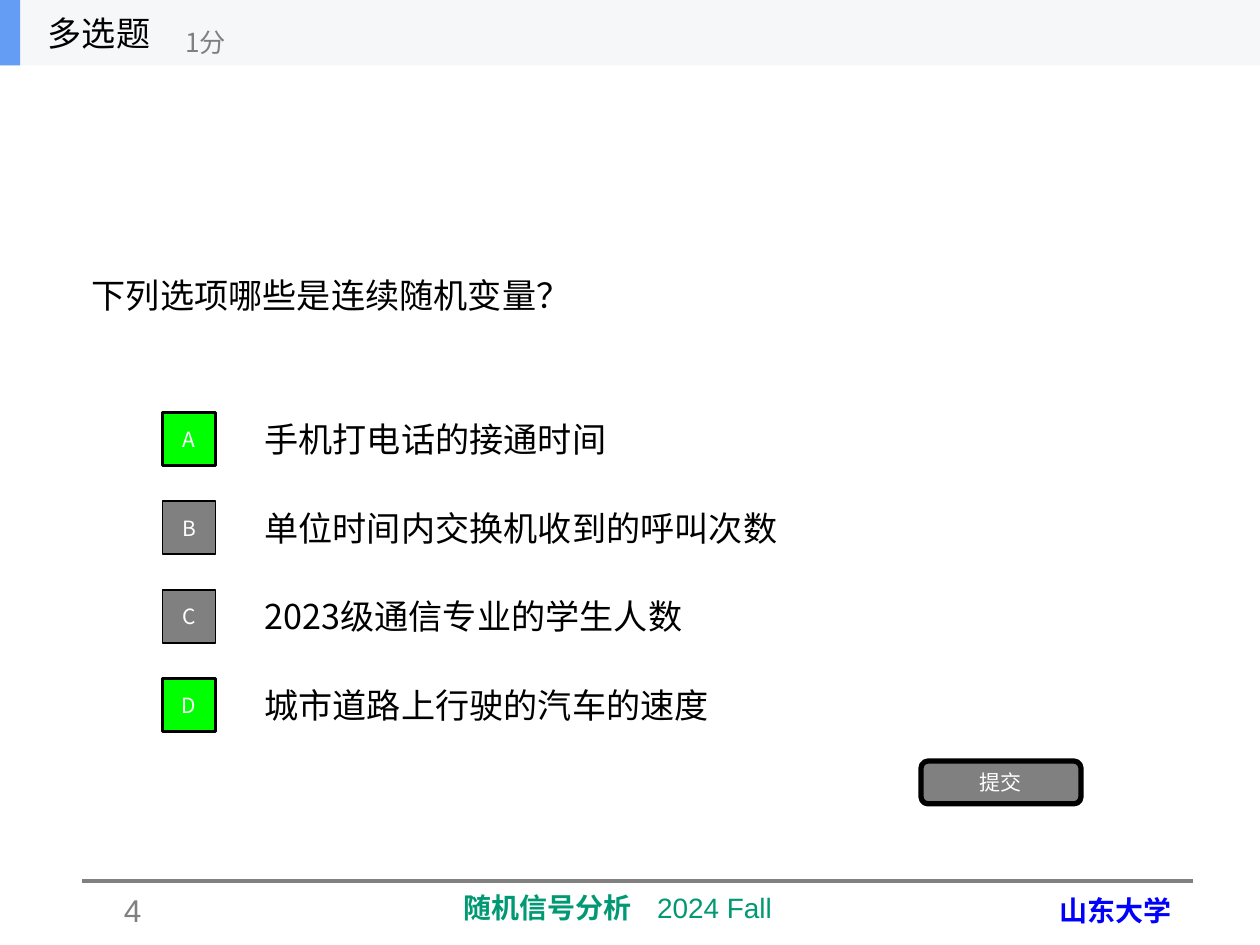
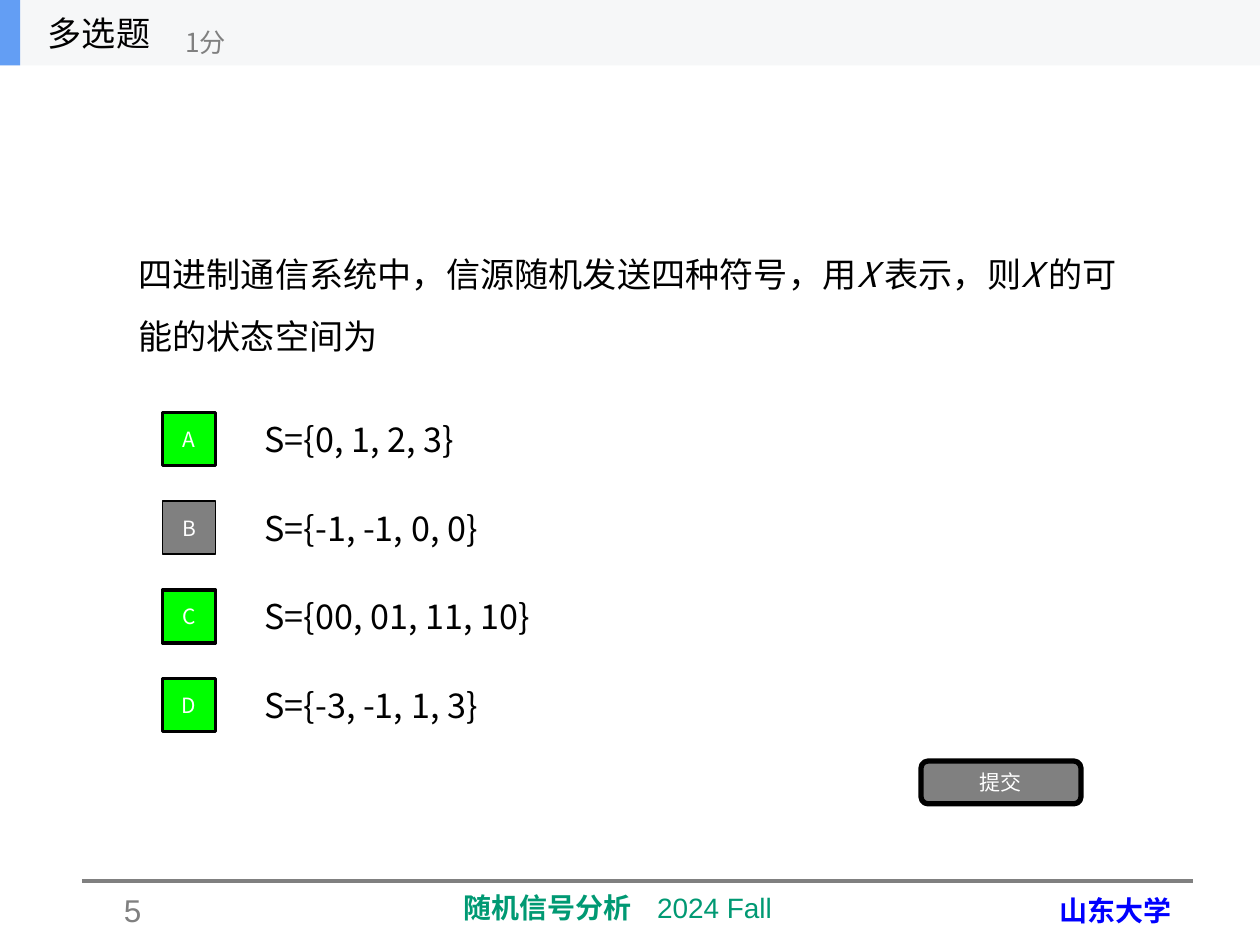
from lxml import etree
from pptx import Presentation
from pptx.dml.color import RGBColor
from pptx.enum.lang import MSO_LANGUAGE_ID
from pptx.enum.shapes import MSO_CONNECTOR, MSO_SHAPE
from pptx.enum.text import MSO_ANCHOR, PP_ALIGN
from pptx.oxml.ns import qn
from pptx.util import Pt

# Content
FIRST_NUMBER = 4
QUESTIONS = [
    {
        "prompt": [("下列选项哪些是连续随机变量？", False)],
        "prompt_box": (45.36, 105.12, 602.64, 126.72),
        "line_spacing": 1.0,
        "options": ["手机打电话的接通时间", "单位时间内交换机收到的呼叫次数",
                    "2023级通信专业的学生人数", "城市道路上行驶的汽车的速度"],
        "correct": "AD",
    },
    {
        "prompt": [("四进制通信系统中，信源随机发送四种符号，用", False), ("X ", True),
                   ("表示，则", False), ("X ", True), ("的可能的状态空间为", False)],
        "prompt_box": (72, 105.12, 576, 126.72),
        "line_spacing": 1.5,
        "options": ["S={0, 1, 2, 3}", "S={-1, -1, 0, 0}",
                    "S={00, 01, 11, 10}", "S={-3, -1, 1, 3}"],
        "correct": "ACD",
    },
]

# Shared look
COLORS = {"black": "000000", "white": "FFFFFF", "gray": "808080", "band": "F6F7F8",
          "accent": "639EF4", "correct": "00FF00", "course": "009973", "school": "0000FF"}
CJK = "Noto Sans CJK SC"
BODY = {"size": Pt(19.5), "name": CJK, "color": "black"}
SCORE = {"size": Pt(15), "name": CJK, "color": "gray"}
BUTTON = {"size": Pt(12), "name": CJK, "color": "white"}
NUMBER = {"size": Pt(18), "name": "Arial", "color": "gray"}
COURSE = {"size": Pt(16), "name": "Lato", "color": "course", "bold": True}
TERM = {**COURSE, "name": "Arial", "bold": False}
SCHOOL = {**COURSE, "name": "Arial", "color": "school"}

LEFT, CENTER, RIGHT = PP_ALIGN.LEFT, PP_ALIGN.CENTER, PP_ALIGN.RIGHT
TOP, MIDDLE = MSO_ANCHOR.TOP, MSO_ANCHOR.MIDDLE
RECTANGLE, ROUNDED = MSO_SHAPE.RECTANGLE, MSO_SHAPE.ROUNDED_RECTANGLE

# Layout
PAGE_WIDTH, PAGE_HEIGHT = 720, 540
BAND_HEIGHT = 37.44
OPTION_LEFT, OPTION_TOP, OPTION_WIDTH, OPTION_HEIGHT = 144, 231.84, 504, 38.16
OPTION_PITCH = 50.64
LETTER_LEFT, LETTER_SIZE = 92.88, 30.24
FOOTER_TOP = 505.44


def color(name):
    return RGBColor.from_string(COLORS[name])


def write(paragraph, spans):
    for words, style in spans:
        span = paragraph.add_run()
        span.text = words
        span.font.language_id = MSO_LANGUAGE_ID.SIMPLIFIED_CHINESE
        for key, value in style.items():
            if key == "color":
                span.font.color.rgb = color(value)
            else:
                setattr(span.font, key, value)
        east_asian = etree.SubElement(span.font._element, qn("a:ea"))
        east_asian.set("typeface", CJK)


def add_text(shapes, place, spans, align=LEFT, anchor=MIDDLE):
    box = shapes.add_textbox(*map(Pt, place))
    box.text_frame.word_wrap = True
    box.text_frame.vertical_anchor = anchor
    paragraph = box.text_frame.paragraphs[0]
    paragraph.alignment = align
    write(paragraph, spans)
    return box


def add_block(shapes, kind, place, fill, line_width=0):
    block = shapes.add_shape(kind, *map(Pt, place))
    block.shadow.inherit = False
    block.fill.solid()
    block.fill.fore_color.rgb = color(fill)
    if line_width:
        block.line.color.rgb = color("black")
        block.line.width = Pt(line_width)
    else:
        block.line.fill.background()
    return block


def add_button(page, kind, place, fill, line_width, label):
    frame = add_block(page.shapes, kind, place, fill, line_width).text_frame
    margins = {"margin_left": 5.04, "margin_right": 5.04,
               "margin_top": 2.88, "margin_bottom": 2.88}
    for side, value in margins.items():
        setattr(frame, side, Pt(value))
    frame.word_wrap = False
    frame.vertical_anchor = MIDDLE
    frame.paragraphs[0].alignment = CENTER
    write(frame.paragraphs[0], [(label, BUTTON)])


def add_header(page):
    shapes = page.shapes.add_group_shape().shapes
    add_block(shapes, RECTANGLE, (0, 0, PAGE_WIDTH, BAND_HEIGHT), "band")
    add_block(shapes, RECTANGLE, (0, 0, 11.52, BAND_HEIGHT), "accent")
    add_text(shapes, (20.16, 0, 112.32, BAND_HEIGHT), [("多选题", BODY)])
    add_text(shapes, (98.64, 8.64, 135.36, 30.24), [("1分", SCORE)])


def add_footer(page, number):
    rule = page.shapes.add_connector(MSO_CONNECTOR.STRAIGHT, *map(Pt, (46.8, 503.28, 681.84, 503.28)))
    rule.line.color.rgb = color("gray")
    rule.line.width = Pt(2.25)
    etree.SubElement(rule._element.spPr, qn("a:effectLst"))

    add_text(page.shapes, (48.24, FOOTER_TOP, 39.6, 24.48), [(str(number), NUMBER)], RIGHT, TOP)
    add_text(page.shapes, (598.32, 506.88, 102.24, 26.64), [("山东大学", SCHOOL)], anchor=TOP)

    # Course name, then the term at a tab stop
    box = add_text(page.shapes, (251.28, FOOTER_TOP, 203.76, 26.64), [], anchor=TOP)
    box.text_frame.margin_left = Pt(13.7)
    paragraph = box.text_frame.paragraphs[0]
    tabs = etree.SubElement(paragraph._p.get_or_add_pPr(), qn("a:tabLst"))
    etree.SubElement(tabs, qn("a:tab"), pos=str(Pt(110.5)), algn="l")
    write(paragraph, [("随机信号分析\t", COURSE), ("2024 Fall", TERM)])


def add_question(page, question):
    spans = [(words, {**BODY, "italic": italic}) for words, italic in question["prompt"]]
    prompt = add_text(page.shapes, question["prompt_box"], spans)
    prompt.text_frame.paragraphs[0].line_spacing = question["line_spacing"]

    for row, (letter, option) in enumerate(zip("ABCD", question["options"])):
        top = OPTION_TOP + row * OPTION_PITCH
        add_text(page.shapes, (OPTION_LEFT, top, OPTION_WIDTH, OPTION_HEIGHT), [(option, BODY)])
        letter_top = top + (OPTION_HEIGHT - LETTER_SIZE) / 2
        fill, line_width = ("correct", 2) if letter in question["correct"] else ("gray", 1)
        add_button(page, RECTANGLE, (LETTER_LEFT, letter_top, LETTER_SIZE, LETTER_SIZE),
                   fill, line_width, letter)

    add_button(page, ROUNDED, (526.32, 434.88, 91.44, 24.48), "gray", 3, "提交")


def main():
    deck = Presentation()
    deck.slide_width, deck.slide_height = Pt(PAGE_WIDTH), Pt(PAGE_HEIGHT)
    for number, question in enumerate(QUESTIONS, FIRST_NUMBER):
        page = deck.slides.add_slide(deck.slide_layouts[6])
        add_footer(page, number)
        add_question(page, question)
        add_header(page)
    deck.save("out.pptx")


if __name__ == "__main__":
    main()
